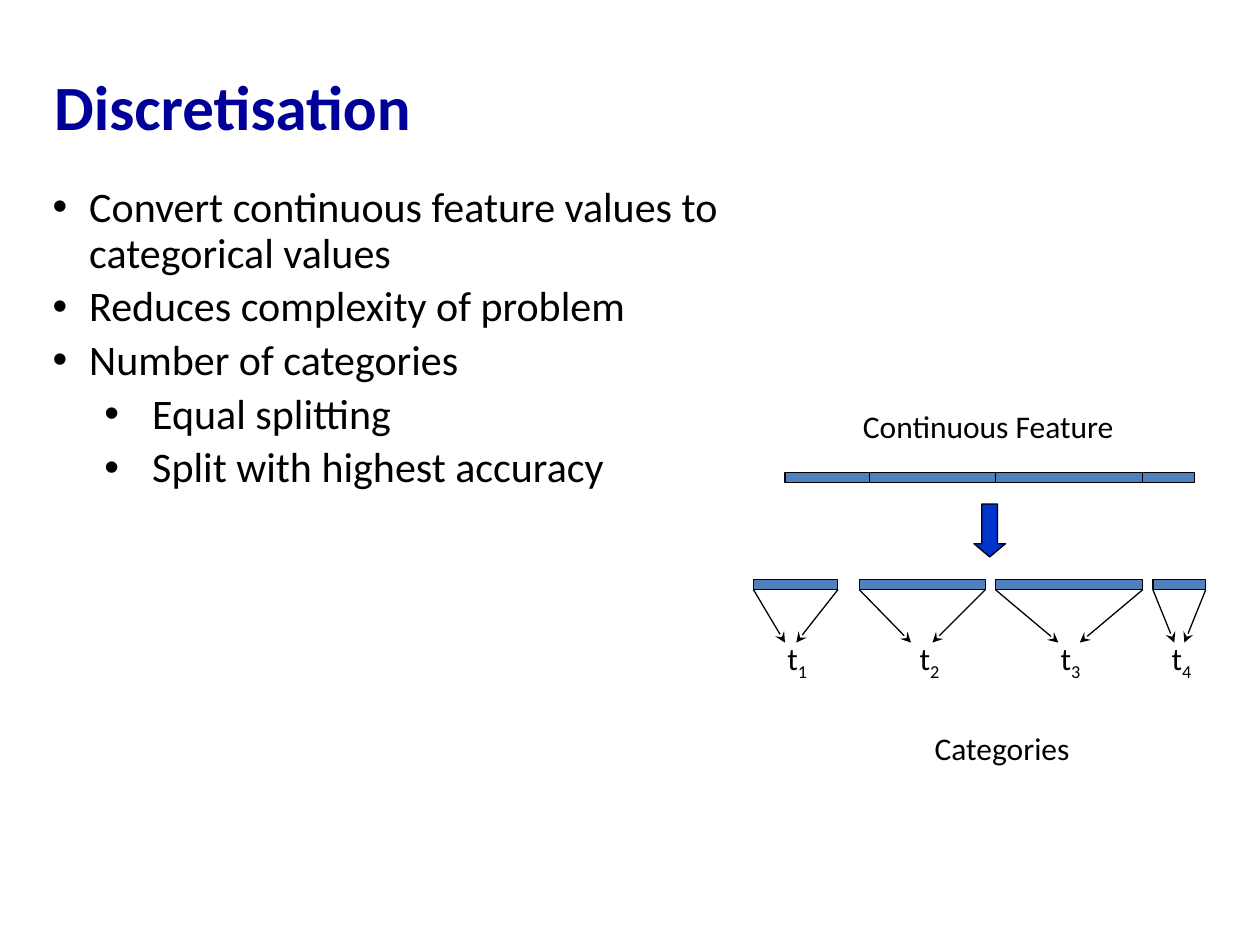
import pptx
import pptx.util
import pptx.dml.color
import pptx.enum.shapes
import pptx.enum.text
import pptx.oxml.ns
from lxml import etree

Inches, Pt = pptx.util.Inches, pptx.util.Pt
SHAPE = pptx.enum.shapes.MSO_SHAPE
ANCHOR = pptx.enum.text.MSO_ANCHOR
qn = pptx.oxml.ns.qn

# Content
TITLE = "Discretisation"
BULLETS = [
    (0, "Convert continuous feature values to categorical values"),
    (0, "Reduces complexity of problem"),
    (0, "Number of categories"),
    (1, "Equal splitting"),
    (1, "Split with highest accuracy"),
]
INDENTS = [(0.29, -0.31), (0.79, -0.38)]  # margin and first line, by level
LABELS = [("Continuous Feature", 6.75, 3.18, 2.32),
          ("Categories", 7.32, 5.74, 1.93)]
# Bin: left, width, left and right arrow tips, label left
BINS = [
    (5.98, 0.67, 6.23, 6.32, 6.15),
    (6.82, 1.00, 7.23, 7.40, 7.20),
    (7.90, 1.17, 8.40, 8.57, 8.32),
    (9.15, 0.42, 9.32, 9.40, 9.20),
]
BAR_X, BAR_Y, BAR_W, BAR_H = 6.23, 3.75, 3.25, 0.08
BIN_Y, TIP_Y, TERM_Y = 4.6, 5.1, 5.02
FONT, BLACK, NAVY, STEEL, BLUE = "Calibri", "000000", "000099", "4F81BD", "0033CC"


def color(code):
    return pptx.dml.color.RGBColor.from_string(code)


def style(para, size, code=BLACK, bold=False):
    font = para.font
    font.name, font.size, font.bold = FONT, Pt(size), bold
    font.color.rgb = color(code)


def outline(item):
    item.line.color.rgb = color(BLACK)
    item.line.width = Pt(0.75)


def block(kind, x, y, w, h, fill):
    item = slide.shapes.add_shape(kind, Inches(x), Inches(y), Inches(w), Inches(h))
    item.shadow.inherit = False
    item.fill.solid()
    item.fill.fore_color.rgb = color(fill)
    outline(item)
    return item


def link(x1, y1, x2, y2, arrow=False):
    item = slide.shapes.add_connector(
        pptx.enum.shapes.MSO_CONNECTOR.STRAIGHT,
        Inches(x1), Inches(y1), Inches(x2), Inches(y2))
    outline(item)
    if arrow:
        etree.SubElement(item.line._get_or_add_ln(), qn("a:tailEnd"), type="stealth")
    etree.SubElement(item._element.spPr, qn("a:effectLst"))


def textbox(x, y, w, h, wrap=True):
    frame = slide.shapes.add_textbox(
        Inches(x), Inches(y), Inches(w), Inches(h)).text_frame
    frame.word_wrap = wrap
    return frame


def bullet(para, level):
    margin, first = INDENTS[level]
    para.level = level
    props = para._p.get_or_add_pPr()
    props.set("marL", str(Inches(margin)))
    props.set("indent", str(Inches(first)))
    etree.SubElement(props, qn("a:buFont"), typeface="Arial")
    etree.SubElement(props, qn("a:buChar"), char="•")


deck = pptx.Presentation()
deck.slide_width, deck.slide_height = Inches(10), Inches(7.5)
slide = deck.slides.add_slide(deck.slide_layouts[5])

# Title
title = slide.shapes.title
title.left, title.top = Inches(0.33), Inches(0.28)
title.width, title.height = Inches(8.84), Inches(1.11)
title.text_frame.text = TITLE
title.text_frame.vertical_anchor = ANCHOR.MIDDLE
head = title.text_frame.paragraphs[0]
head.alignment = pptx.enum.text.PP_ALIGN.LEFT
style(head, 36, NAVY, True)

# Bullets
body = textbox(0.32, 1.43, 5.63, 2.82)
for i, (level, text) in enumerate(BULLETS):
    para = body.add_paragraph() if i else body.paragraphs[0]
    para.text = text
    bullet(para, level)
    para.line_spacing = 0.9
    para.space_before = Pt(4.8 if i else 0)
    style(para, 24)

# Continuous bar, cut where the bins meet
block(SHAPE.RECTANGLE, BAR_X, BAR_Y, BAR_W, BAR_H, STEEL)
cut = BAR_X
for bin_w in [row[1] for row in BINS[:-1]]:
    cut += bin_w
    link(cut, BAR_Y, cut, BAR_Y + BAR_H)

# Bins with arrows to their terms
for num, (x, w, tip1, tip2, term_x) in enumerate(BINS, 1):
    block(SHAPE.RECTANGLE, x, BIN_Y, w, BAR_H, STEEL)
    for start, tip in ((x, tip1), (x + w, tip2)):
        link(start, BIN_Y + BAR_H, tip, TIP_Y, arrow=True)
    term = textbox(term_x, TERM_Y, 0.36, 0.4, wrap=False).paragraphs[0]
    term.add_run().text = "t"
    sub = term.add_run()
    sub.text = str(num)
    sub.font._element.set("baseline", "-25000")
    style(term, 18)

# Down arrow
down = block(SHAPE.DOWN_ARROW, 7.73, 4, 0.25, 0.42, BLUE)
down.adjustments[0], down.adjustments[1] = 0.5, 0.42

# Captions
for text, x, y, w in LABELS:
    label = textbox(x, y, w, 0.4).paragraphs[0]
    label.text = text
    style(label, 18)

deck.save("out.pptx")
